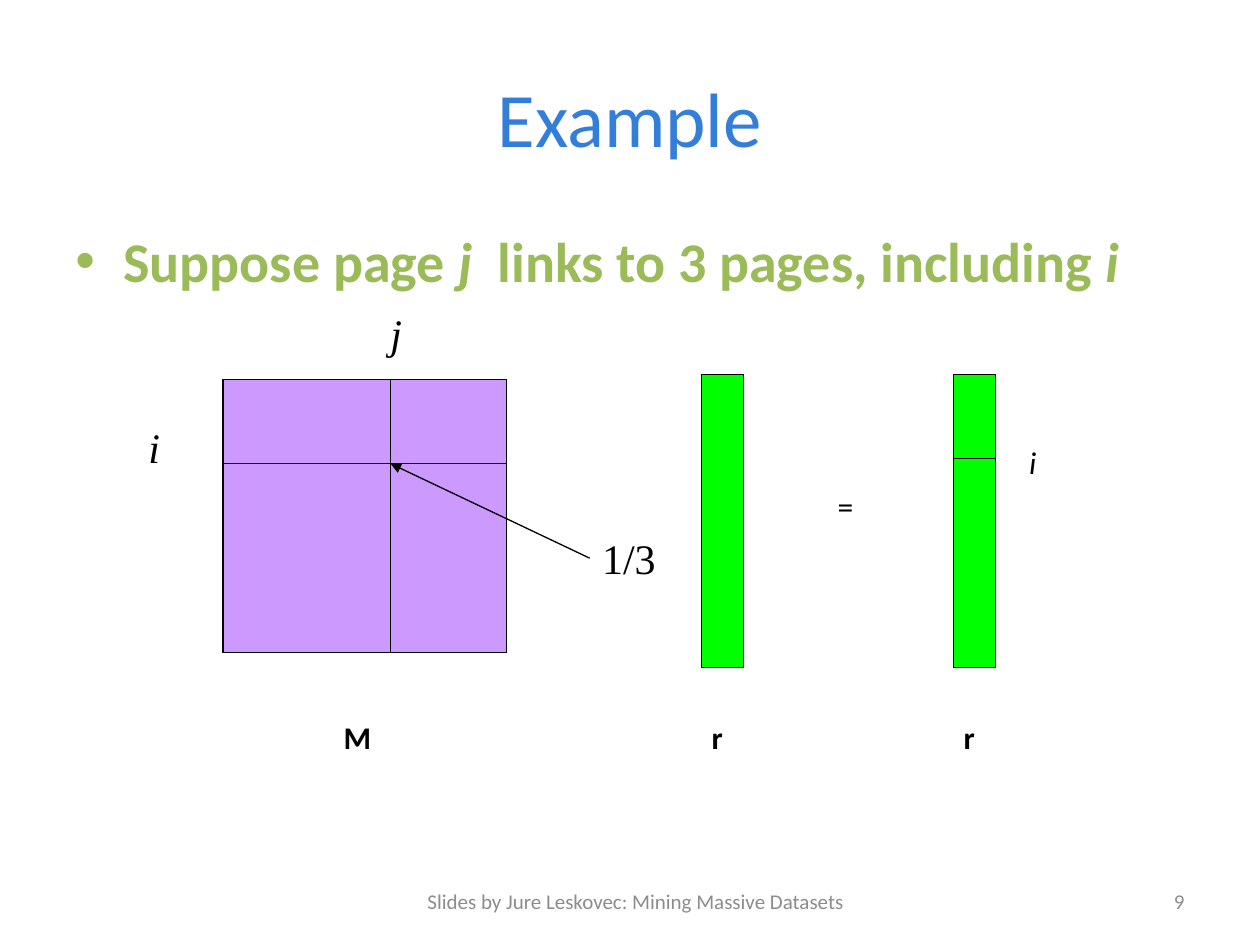
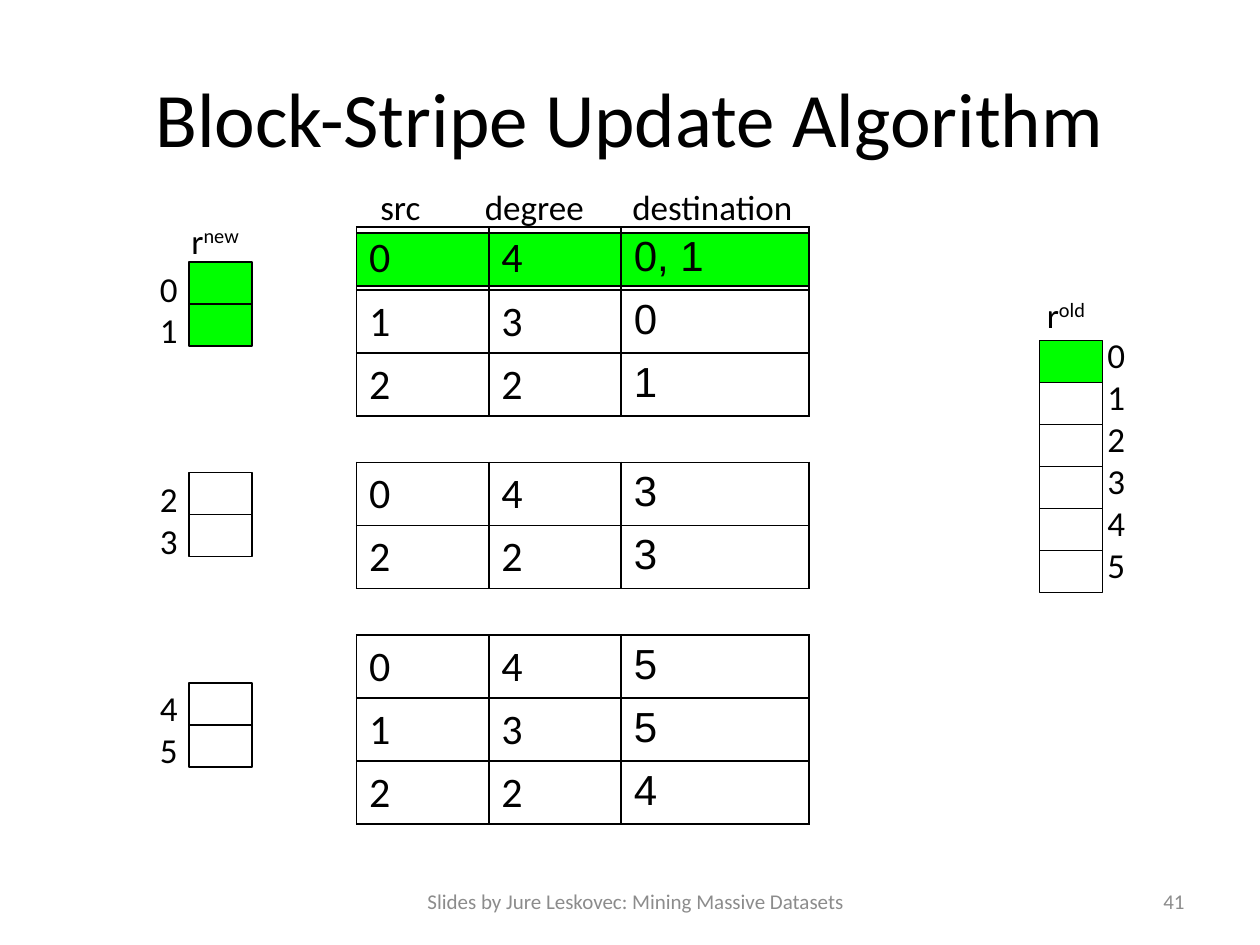
from typing import NamedTuple

from lxml import etree
from pptx import Presentation
from pptx.dml.color import RGBColor
from pptx.enum.shapes import MSO_CONNECTOR, MSO_SHAPE
from pptx.enum.text import MSO_ANCHOR, PP_ALIGN
from pptx.oxml.ns import qn
from pptx.util import Inches, Pt

RECTANGLE = MSO_SHAPE.RECTANGLE
STRAIGHT = MSO_CONNECTOR.STRAIGHT
MIDDLE, TOP = MSO_ANCHOR.MIDDLE, MSO_ANCHOR.TOP
LEFT, CENTER, RIGHT = PP_ALIGN.LEFT, PP_ALIGN.CENTER, PP_ALIGN.RIGHT

COLORS = {
    "black": "000000",
    "title_blue": "337ED9",
    "body_green": "9BBB59",
    "footer_gray": "8C8C8C",
    "matrix": "CC99FF",
    "active": "00FF00",
}
BODY_FONT, MATH_FONT, LIST_FONT = "Calibri", "Times New Roman", "Arial"
FOOTER = "Slides by Jure Leskovec: Mining Massive Datasets"


class Box(NamedTuple):
    left: float
    top: float
    width: float
    height: float


class Style(NamedTuple):
    size: float
    color: str = "black"
    font: str = BODY_FONT
    bold: bool = False
    italic: bool = False


class Label(NamedTuple):
    text: str
    box: Box
    style: Style


class Strip(NamedTuple):
    """A column of vector cells, the first ones active, with index labels."""
    left: float
    top: float
    first_index: int
    count: int
    active: int
    label_left: float
    label_shift: float


class Stripe(NamedTuple):
    """One block of the matrix, stored as a table."""
    top: float
    rows: list[tuple[str, str, str]]


def rgb(name: str) -> RGBColor:
    return RGBColor.from_string(COLORS[name])


def inches(box: Box) -> list[int]:
    return [Inches(value) for value in box]


def style_paragraph(paragraph, style: Style) -> None:
    font = paragraph.font
    font.size, font.name = Pt(style.size), style.font
    font.bold, font.italic = style.bold, style.italic
    font.color.rgb = rgb(style.color)


def add_text(slide, label: Label, align=LEFT, anchor=TOP, wrap: bool = False):
    """Add a text box and return its paragraph."""
    frame = slide.shapes.add_textbox(*inches(label.box)).text_frame
    frame.word_wrap, frame.vertical_anchor = wrap, anchor
    paragraph = frame.paragraphs[0]
    if label.text:
        paragraph.add_run().text = label.text
    paragraph.alignment = align
    style_paragraph(paragraph, label.style)
    return paragraph


def add_rectangle(slide, box: Box, fill: str | None = None) -> None:
    shape = slide.shapes.add_shape(RECTANGLE, *inches(box))
    shape.shadow.inherit = False
    if fill:
        shape.fill.solid()
        shape.fill.fore_color.rgb = rgb(fill)
    else:
        shape.fill.background()
    shape.line.color.rgb = rgb("black")
    shape.line.width = Pt(0.75)


def add_line(slide, x1: float, y1: float, x2: float, y2: float, arrow: bool = False) -> None:
    ends = [Inches(value) for value in (x1, y1, x2, y2)]
    line = slide.shapes.add_connector(STRAIGHT, *ends)
    line.line.color.rgb = rgb("black")
    line.line.width = Pt(0.75)
    properties = line._element.spPr
    if arrow:
        etree.SubElement(properties.find(qn("a:ln")), qn("a:tailEnd"), type="triangle")
    etree.SubElement(properties, qn("a:effectLst"))


def add_frame(presentation, title: str, title_color: str, number: int):
    """Start a slide with its title, footer and slide number."""
    slide = presentation.slides.add_slide(presentation.slide_layouts[6])
    footer_style = Style(12, "footer_gray")
    parts = [
        (Label(title, Box(0.5, 0.3, 9, 1.25), Style(44, title_color)), CENTER),
        (Label(FOOTER, Box(2.92, 6.95, 4.25, 0.4), footer_style), CENTER),
        (Label(str(number), Box(7.17, 6.95, 2.33, 0.4), footer_style), RIGHT),
    ]
    for label, align in parts:
        add_text(slide, label, align, MIDDLE, wrap=True)
    return slide


# Example slide

MATRIX = Box(1.77, 3.01, 2.25, 2.17)
ENTRY_X, ENTRY_Y = 3.1, 3.68
VECTOR_LEFTS = (5.57, 7.57)
VECTOR_TOP, VECTOR_WIDTH, VECTOR_HEIGHT = 2.97, 0.33, 2.33
RESULT_Y = 3.64
MATH_ITALIC = Style(24, font=MATH_FONT, italic=True)
NAME = Style(18, bold=True)
EXAMPLE_LABELS = [
    Label("i", Box(1.08, 3.3, 0.29, 0.5), MATH_ITALIC),
    Label("j", Box(3, 2.39, 0.29, 0.5), MATH_ITALIC),
    Label("M", Box(2.63, 5.65, 0.43, 0.43), NAME),
    Label("r", Box(5.55, 5.65, 0.31, 0.43), NAME),
    Label("r", Box(7.55, 5.65, 0.31, 0.43), NAME),
    Label("=", Box(6.55, 3.82, 0.36, 0.43), Style(18)),
    Label("i", Box(8.07, 3.47, 0.26, 0.43), Style(18, italic=True)),
    Label("1/3", Box(4.68, 4.18, 0.63, 0.5), Style(24, font=MATH_FONT)),
]


def add_bullet_text(slide) -> None:
    body = Label("", Box(0.5, 1.75, 9, 4.95), Style(32, "body_green", bold=True))
    paragraph = add_text(slide, body, wrap=True)
    pieces = [("Suppose page ", False), ("j", True),
              ("  links to 3 pages, including ", False), ("i", True)]
    for text, italic in pieces:
        run = paragraph.add_run()
        run.text, run.font.italic = text, italic
    properties = paragraph._p.get_or_add_pPr()
    indent = Inches(0.38)
    properties.set("marL", str(indent))
    properties.set("indent", str(-indent))
    bullet_font = etree.Element(qn("a:buFont"), typeface=LIST_FONT)
    bullet = etree.Element(qn("a:buChar"), char="•")
    properties.insert(0, bullet_font)
    properties.insert(1, bullet)


def build_example(presentation) -> None:
    slide = add_frame(presentation, "Example", "title_blue", 9)
    add_bullet_text(slide)

    # Matrix with row i and column j
    add_rectangle(slide, MATRIX, "matrix")
    add_line(slide, MATRIX.left, ENTRY_Y, MATRIX.left + MATRIX.width, ENTRY_Y)
    add_line(slide, ENTRY_X, MATRIX.top, ENTRY_X, MATRIX.top + MATRIX.height)

    # Vectors, with entry i marked on the result
    for left in VECTOR_LEFTS:
        add_rectangle(slide, Box(left, VECTOR_TOP, VECTOR_WIDTH, VECTOR_HEIGHT), "active")
    result_left = VECTOR_LEFTS[-1]
    add_line(slide, result_left, RESULT_Y, result_left + VECTOR_WIDTH, RESULT_Y)

    for label in EXAMPLE_LABELS:
        add_text(slide, label)
    add_line(slide, 4.68, 4.43, ENTRY_X, ENTRY_Y, arrow=True)


# Block-stripe slide

CELL_WIDTH, CELL_HEIGHT = 0.5, 1 / 3
TABLE_LEFT, ROW_HEIGHT = 2.83, 0.5
COLUMN_WIDTHS = (1.05, 1.05, 1.49)
LABEL = Style(20)
STRIPS = [
    Strip(1.5, 2.08, 0, 2, 2, 1.17, -0.01),
    Strip(1.5, 3.75, 2, 2, 0, 1.17, -0.01),
    Strip(1.5, 5.42, 4, 2, 0, 1.17, -0.02),
    Strip(8.25, 2.7, 0, 6, 1, 8.69, -0.1),
]
STRIPES = [
    Stripe(1.8, [("0", "4", "0, 1"), ("1", "3", "0"), ("2", "2", "1")]),
    Stripe(3.67, [("0", "4", "3"), ("2", "2", "3")]),
    Stripe(5.04, [("0", "4", "5"), ("1", "3", "5"), ("2", "2", "4")]),
]
COLUMN_HEADERS = [
    Label("src", Box(2.92, 1.42, 0.57, 0.43), LABEL),
    Label("degree", Box(3.75, 1.42, 1.07, 0.43), LABEL),
    Label("destination", Box(4.92, 1.42, 1.55, 0.43), LABEL),
]
VECTOR_NAMES = [
    ("new", Label("r", Box(1.42, 1.69, 0.62, 0.43), LABEL)),
    ("old", Label("r", Box(8.21, 2.28, 0.53, 0.43), LABEL)),
]


def add_strip(slide, strip: Strip) -> None:
    for position in range(strip.count):
        top = strip.top + position * CELL_HEIGHT
        fill = "active" if position < strip.active else None
        add_rectangle(slide, Box(strip.left, top, CELL_WIDTH, CELL_HEIGHT), fill)
        label_box = Box(strip.label_left, top + strip.label_shift, 0.36, 0.43)
        add_text(slide, Label(str(strip.first_index + position), label_box, LABEL))


def set_borders(cell) -> None:
    properties = cell._tc.get_or_add_tcPr()
    for position, side in enumerate(("lnL", "lnR", "lnT", "lnB")):
        line = etree.Element(qn(f"a:{side}"), w=str(Pt(1)))
        fill = etree.SubElement(line, qn("a:solidFill"))
        etree.SubElement(fill, qn("a:srgbClr"), val=COLORS["black"])
        properties.insert(position, line)


def add_stripe(slide, stripe: Stripe) -> None:
    box = Box(TABLE_LEFT, stripe.top, sum(COLUMN_WIDTHS), ROW_HEIGHT * len(stripe.rows))
    table = slide.shapes.add_table(len(stripe.rows), len(COLUMN_WIDTHS), *inches(box)).table
    table.first_row = table.horz_banding = False
    for column, width in zip(table.columns, COLUMN_WIDTHS):
        column.width = Inches(width)
    for row, values in zip(table.rows, stripe.rows):
        for cell, value, font in zip(row.cells, values, (BODY_FONT, BODY_FONT, LIST_FONT)):
            cell.text = value
            cell.fill.background()
            style_paragraph(cell.text_frame.paragraphs[0], Style(24, font=font))
            set_borders(cell)


def build_block_stripe(presentation) -> None:
    slide = add_frame(presentation, "Block-Stripe Update Algorithm", "black", 41)

    # Highlight behind the first table row
    add_rectangle(slide, Box(TABLE_LEFT, 1.85, sum(COLUMN_WIDTHS), 0.42), "active")

    for strip in STRIPS:
        add_strip(slide, strip)
    for stripe in STRIPES:
        add_stripe(slide, stripe)
    for header in COLUMN_HEADERS:
        add_text(slide, header)

    # Vector names with superscripts
    for superscript, label in VECTOR_NAMES:
        run = add_text(slide, label).add_run()
        run.text = superscript
        run._r.get_or_add_rPr().set("baseline", "30000")


def main() -> None:
    presentation = Presentation()
    presentation.slide_width, presentation.slide_height = Inches(10), Inches(7.5)
    build_example(presentation)
    build_block_stripe(presentation)
    presentation.save("out.pptx")


if __name__ == "__main__":
    main()
